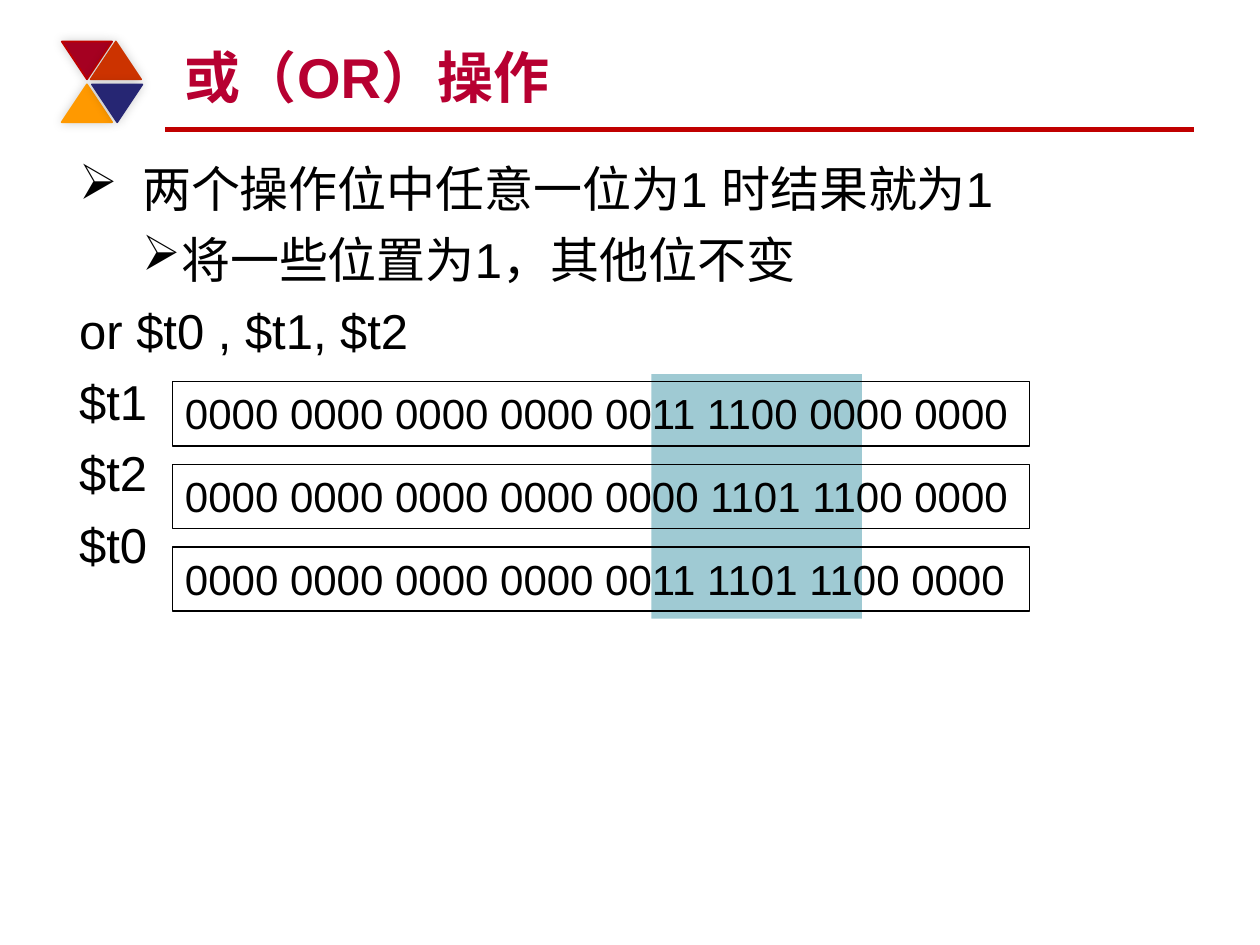
from lxml import etree
from pptx import Presentation, util as u
from pptx.dml.color import RGBColor
from pptx.enum import shapes, text
from pptx.oxml.ns import qn

COLS, ROWS = 100, 75  # square grid cells of a tenth of an inch


def color(value):
    return RGBColor.from_string(value)


class Deck:
    font, ink, accent = "Arial", "000000", "B70031"

    def __init__(self):
        self.prs = Presentation()
        self.prs.slide_width, self.prs.slide_height = u.Inches(10), u.Inches(7.5)
        self.cell_w = self.prs.slide_width / COLS
        self.cell_h = self.prs.slide_height / ROWS
        self.s = self.prs.slides.add_slide(self.prs.slide_layouts[6])

    def grid(self, *lengths):
        cells = (self.cell_w, self.cell_h) * 2
        return [round(n * cell) for n, cell in zip(lengths, cells)]

    def rule(self, x1, x2, y, line, width):
        c = self.s.shapes.add_connector(
            shapes.MSO_CONNECTOR.STRAIGHT, *self.grid(x1, y, x2, y))
        c.line.color.rgb, c.line.width = color(line), u.Pt(width)
        etree.SubElement(c._element.spPr, qn("a:effectLst"))

    def shape(self, kind, box, fill=None, line=None, width=1.0):
        sp = self.s.shapes.add_shape(kind, *self.grid(*box))
        sp.shadow.inherit = False
        if fill:
            sp.fill.solid()
            sp.fill.fore_color.rgb = color(fill)
        else:
            sp.fill.background()
        if line:
            sp.line.color.rgb, sp.line.width = color(line), u.Pt(width)
        else:
            sp.line.fill.background()
        return sp

    def triangle(self, x, y, fill, line, flipped):
        sp = self.shape(shapes.MSO_SHAPE.ISOSCELES_TRIANGLE, (x, y, 4, 3), fill, line)
        sp.rotation = 180 if flipped else 0
        # Soft glow-like shadow
        effects = sp._element.spPr.find(qn("a:effectLst"))
        shadow = etree.SubElement(effects, qn("a:outerShdw"), blurRad=str(u.Pt(6)),
                                  dist="0", dir=str(315 * 60000), algn="ctr")
        tint = etree.SubElement(shadow, qn("a:srgbClr"), val=self.ink)
        etree.SubElement(tint, qn("a:alpha"), val="20000")

    def fill_paragraph(self, p, words, size, ink=None, bold=False):
        p.text = words
        p.alignment = text.PP_ALIGN.LEFT
        for r in p.runs:
            r.font.name, r.font.size, r.font.bold = self.font, u.Pt(size), bold
            r.font.color.rgb = color(ink or self.ink)

    def textbox(self, box, anchor):
        tf = self.s.shapes.add_textbox(*self.grid(*box)).text_frame
        tf.word_wrap, tf.vertical_anchor = True, anchor
        return tf

    def title(self, box, words):
        tf = self.textbox(box, text.MSO_ANCHOR.BOTTOM)
        self.fill_paragraph(tf.paragraphs[0], words, 32, self.accent, True)

    def body(self, box, items):
        tf = self.textbox(box, text.MSO_ANCHOR.TOP)
        for i, (words, level, indent) in enumerate(items):
            p = tf.add_paragraph() if i else tf.paragraphs[0]
            p.level = level
            p.space_before = u.Pt(7 if i else 0)
            if indent:
                margin, hang = indent
                pPr = p._p.get_or_add_pPr()
                pPr.set("marL", str(u.Inches(margin)))
                pPr.set("indent", str(-u.Inches(hang)))
                etree.SubElement(pPr, qn("a:buChar"), char="➢")
            self.fill_paragraph(p, words, 28)

    def register(self, box, bits):
        sp = self.shape(shapes.MSO_SHAPE.RECTANGLE, box, line=self.ink, width=0.75)
        tf = sp.text_frame
        tf.word_wrap, tf.vertical_anchor = True, text.MSO_ANCHOR.TOP
        self.fill_paragraph(tf.paragraphs[0], bits, 24)


def main():
    d = Deck()

    # Header: rule, triangle ornament and title
    d.rule(13.1, 94.8, 10.3, "C00000", 3)
    for x, y, fill, line, flipped in (
            (4.9, 3.3, "A50021", "C00000", True),
            (7.2, 3.3, "CC3300", "CC3300", False),
            (4.9, 6.7, "FF9900", "FF9900", False),
            (7.3, 6.7, "262673", "262673", True)):
        d.triangle(x, y, fill, line, flipped)
    d.title((13.7, 2.5, 80, 6.7), "或（OR）操作")

    # Band marking the affected bits
    d.shape(shapes.MSO_SHAPE.RECTANGLE, (51.7, 29.7, 16.7, 19.4), "9FCAD3")

    # Explanation, instruction and register names
    d.body((5.3, 12.1, 89.5, 59.5), (
        ("两个操作位中任意一位为1 时结果就为1", 0, (0.5, 0.5)),
        ("将一些位置为1，其他位不变", 1, (0.81, 0.31)),
        ("or $t0 , $t1, $t2", 0, None),
        ("$t1", 0, None),
        ("$t2", 0, None),
        ("$t0", 0, None)))

    # Register contents
    for i, bits in enumerate((
            "0000 0000 0000 0000 0011 1100 0000 0000",
            "0000 0000 0000 0000 0000 1101 1100 0000",
            "0000 0000 0000 0000 0011 1101 1100 0000")):
        d.register((13.7, 30.3 + 6.55 * i, 68, 5.1), bits)

    d.prs.save("out.pptx")


if __name__ == "__main__":
    main()
